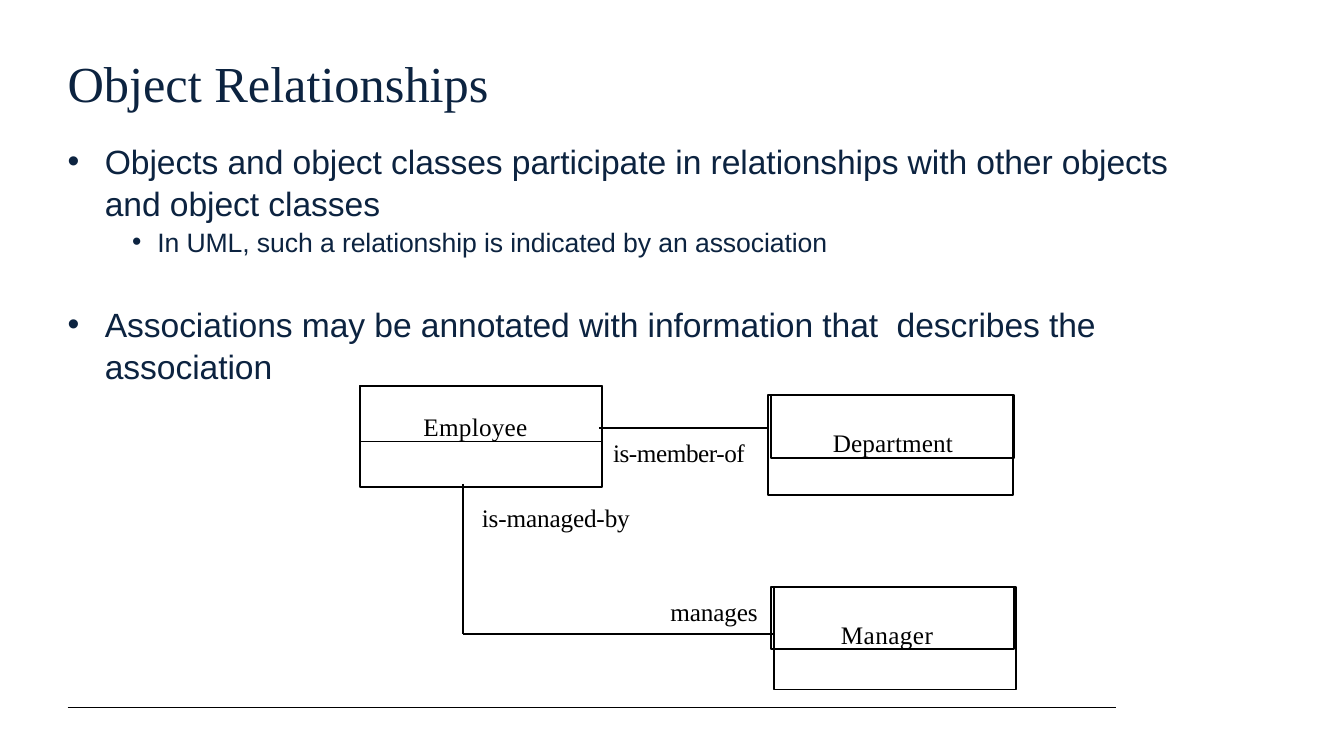
from pptx import Presentation
from pptx.dml.color import RGBColor
from pptx.enum.shapes import MSO_CONNECTOR as Connector, MSO_SHAPE as Shape
from pptx.enum.text import MSO_ANCHOR as Anchor, PP_ALIGN as Align
from pptx.oxml.ns import qn
from pptx.util import Inches, Pt
from lxml.etree import SubElement

NAVY = RGBColor(0x0C, 0x23, 0x40)
BLACK = RGBColor(0, 0, 0)
SERIF, SANS = "Times New Roman", "Arial"

TITLE = "Object Relationships"
POINTS = [
    # text, size, left margin, hanging indent, space before
    ("Objects and object classes participate in relationships with other objects and object classes",
     24, 0.37, 0.37, 0),
    ("In UML, such a relationship is indicated by an association", 19, 0.89, 0.25, 1),
    ("Associations may be annotated with information that  describes the association",
     24, 0.37, 0.37, 31.8),
]
CLASSES = [
    # name, outline, name compartment, name offset, letter spacing
    ("Employee", (3.57, 3.83, 2.4, 1), (3.57, 3.83, 2.4, 0.55), (0.63, 0.25), 0.2),
    ("Department", (7.62, 3.92, 2.43, 0.99), (7.65, 3.92, 2.41, 0.62), (0.61, 0.32), 0.1),
    ("Manager", (7.68, 5.82, 2.4, 1.02), (7.65, 5.82, 2.41, 0.62), (0.69, 0.32), 0.3),
]
ASSOCIATIONS = [
    ((5.94, 4.25), (7.62, 4.25)),
    ((4.59, 4.8), (4.59, 6.29)),
    ((4.59, 6.29), (7.68, 6.29)),
]
ROLES = [
    ("is-member-of", (6.07, 4.31, 1.39, 0.33), -0.3),
    ("is-managed-by", (4.77, 4.95, 1.56, 0.33), -0.1),
    ("manages", (6.64, 5.89, 0.94, 0.33), -0.1),
]
FOOTER_RULE = ((0.67, 7.02), (11.07, 7.02))

deck = Presentation()
deck.slide_width, deck.slide_height = Inches(13.33), Inches(7.5)
slide = deck.slides.add_slide(deck.slide_layouts[6])


def inches(values):
    return [Inches(value) for value in values]


def add_rule(start, end, weight):
    rule = slide.shapes.add_connector(Connector.STRAIGHT, *inches(start + end))
    rule.line.color.rgb = BLACK
    rule.line.width = Pt(weight)
    SubElement(rule._element.spPr, qn("a:effectLst"))


def add_compartment(area):
    compartment = slide.shapes.add_shape(Shape.RECTANGLE, *inches(area))
    compartment.shadow.inherit = False
    compartment.fill.background()
    compartment.line.color.rgb = BLACK
    compartment.line.width = Pt(1.3)
    return compartment


def prepare_frame(frame, left, top, right=0, bottom=0, wrap=True):
    frame.word_wrap = wrap
    frame.vertical_anchor = Anchor.TOP
    frame.margin_left, frame.margin_top, frame.margin_right, frame.margin_bottom = inches(
        (left, top, right, bottom))
    return frame


def write(paragraph, words, size, face, color, spacing=0):
    paragraph.alignment = Align.LEFT
    run = paragraph.add_run()
    run.text = words
    run.font.size = Pt(size)
    run.font.name = face
    run.font.color.rgb = color
    run._r.get_or_add_rPr().set("spc", str(round(spacing * 100)))


def add_bullet(paragraph, margin, hanging):
    properties = paragraph._p.get_or_add_pPr()
    properties.set("marL", str(Inches(margin)))
    properties.set("indent", str(-Inches(hanging)))
    SubElement(properties, qn("a:buFont")).set("typeface", SANS)
    SubElement(properties, qn("a:buChar")).set("char", "•")


add_rule(*FOOTER_RULE, 0.75)

heading = slide.shapes.add_textbox(*inches((0.67, 0.45, 10.41, 0.93)))
heading_frame = prepare_frame(heading.text_frame, 0, 0.07, 0.1, 0.05)
write(heading_frame.paragraphs[0], TITLE, 36, SERIF, NAVY)

body = slide.shapes.add_textbox(*inches((0.67, 1.38, 11.45, 4.71)))
body_frame = prepare_frame(body.text_frame, 0, 0, 0.1, 0.05)
for order, (words, size, margin, hanging, gap) in enumerate(POINTS):
    point = body_frame.add_paragraph() if order else body_frame.paragraphs[0]
    add_bullet(point, margin, hanging)
    point.line_spacing = 1.04
    if order:
        point.space_before = Pt(gap)
    write(point, words, size, SANS, NAVY, -0.05)

for name, outline, name_area, offset, spacing in CLASSES:
    add_compartment(outline)
    name_frame = prepare_frame(add_compartment(name_area).text_frame, *offset)
    write(name_frame.paragraphs[0], name, 18, SERIF, BLACK, spacing)

for start, end in ASSOCIATIONS:
    add_rule(start, end, 1.3)

for role, area, spacing in ROLES:
    label = slide.shapes.add_textbox(*inches(area))
    label_frame = prepare_frame(label.text_frame, 0.01, 0.03, wrap=False)
    write(label_frame.paragraphs[0], role, 18, SERIF, BLACK, spacing)

deck.save("out.pptx")
